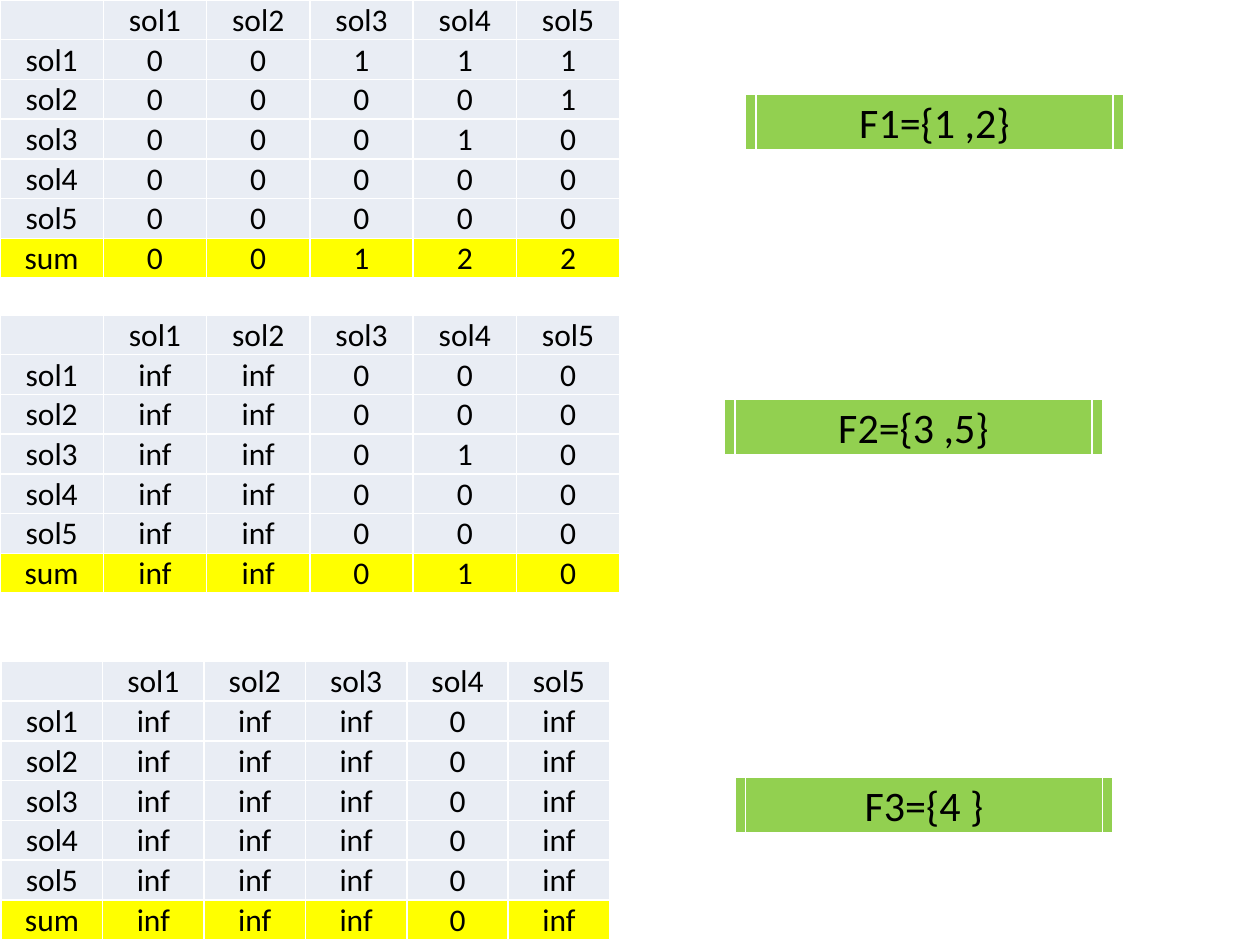
from dataclasses import dataclass

from lxml import etree
from pptx import Presentation
from pptx import util as u
from pptx.dml.color import RGBColor
from pptx.enum import text
from pptx.oxml import ns

COLORS = {"grid": "E9EDF4", "sum": "FFFF00", "front": "92D050",
          "border": "FFFFFF", "ink": "000000"}
FONT = "Calibri"
SOLUTIONS = [f"sol{i}" for i in range(1, 6)]
MATRIX_ROW_HEIGHT = 22.32
FRONT_HEIGHT = 31.68
FRONT_COLUMNS = [6, 204, 6]


@dataclass
class Matrix:
    left: float
    top: float
    column_width: float
    rows: list[str]  # one per solution, then the sums


@dataclass
class Front:
    left: float
    top: float
    label: str


MATRICES = [
    Matrix(0, 0, 59.04, ["0 0 1 1 1", "0 0 0 0 1", "0 0 0 1 0",
                         "0 0 0 0 0", "0 0 0 0 0", "0 0 1 2 2"]),
    Matrix(0, 180, 59.04, ["inf inf 0 0 0", "inf inf 0 0 0", "inf inf 0 1 0",
                           "inf inf 0 0 0", "inf inf 0 0 0", "inf inf 0 1 0"]),
    Matrix(0.72, 378, 57.96, ["inf inf inf 0 inf"] * 6),
]
FRONTS = [
    Front(426, 54, "F1={1 ,2}"),
    Front(414, 228, "F2={3 ,5}"),
    Front(420, 444, "F3={4 }"),
]


def add_borders(cell) -> None:
    """Draw a thin line on all four sides, ahead of the cell's fill."""
    properties = cell._tc.get_or_add_tcPr()
    for position, side in enumerate(("lnL", "lnR", "lnT", "lnB")):
        line = etree.Element(ns.qn(f"a:{side}"), w=str(u.Pt(1)))
        fill = etree.SubElement(line, ns.qn("a:solidFill"))
        etree.SubElement(fill, ns.qn("a:srgbClr"), val=COLORS["border"])
        properties.insert(position, line)


def format_cell(cell, content: str, fill: str, size: float) -> None:
    cell.fill.solid()
    cell.fill.fore_color.rgb = RGBColor.from_string(COLORS[fill])
    cell.margin_left = cell.margin_right = cell.margin_top = u.Pt(0.72)
    cell.margin_bottom = u.Pt(0)
    cell.vertical_anchor = text.MSO_ANCHOR.BOTTOM
    add_borders(cell)
    paragraph = cell.text_frame.paragraphs[0]
    paragraph.text = content
    paragraph.alignment = text.PP_ALIGN.CENTER
    for run in paragraph.runs:
        run.font.name = FONT
        run.font.size = u.Pt(size)
        run.font.color.rgb = RGBColor.from_string(COLORS["ink"])


def add_grid(slide, left: float, top: float, widths: list[float],
             row_height: float, rows: list[list[str]], fills: list[str],
             size: float) -> None:
    table = slide.shapes.add_table(
        len(rows), len(widths), u.Pt(left), u.Pt(top),
        u.Pt(sum(widths)), u.Pt(row_height * len(rows))).table
    table.first_row = table.horz_banding = False
    for column, width in zip(table.columns, widths):
        column.width = u.Pt(width)
    for r, (contents, fill) in enumerate(zip(rows, fills)):
        table.rows[r].height = u.Pt(row_height)
        for c, content in enumerate(contents):
            format_cell(table.cell(r, c), content, fill, size)


def add_matrix(slide, matrix: Matrix) -> None:
    rows = [["", *SOLUTIONS]]
    rows += [[name, *values.split()]
             for name, values in zip([*SOLUTIONS, "sum"], matrix.rows)]
    fills = ["grid"] * (len(rows) - 1) + ["sum"]
    add_grid(slide, matrix.left, matrix.top, [matrix.column_width] * 6,
             MATRIX_ROW_HEIGHT, rows, fills, 18)


def add_front(slide, front: Front) -> None:
    add_grid(slide, front.left, front.top, FRONT_COLUMNS, FRONT_HEIGHT,
             [["", front.label, ""]], ["front"], 24)


def main() -> None:
    deck = Presentation()
    deck.slide_width, deck.slide_height = u.Pt(720), u.Pt(540)
    slide = deck.slides.add_slide(deck.slide_layouts[6])

    # Each domination matrix with the front taken from it
    for matrix, front in zip(MATRICES, FRONTS):
        add_matrix(slide, matrix)
        add_front(slide, front)

    deck.save("out.pptx")


if __name__ == "__main__":
    main()
